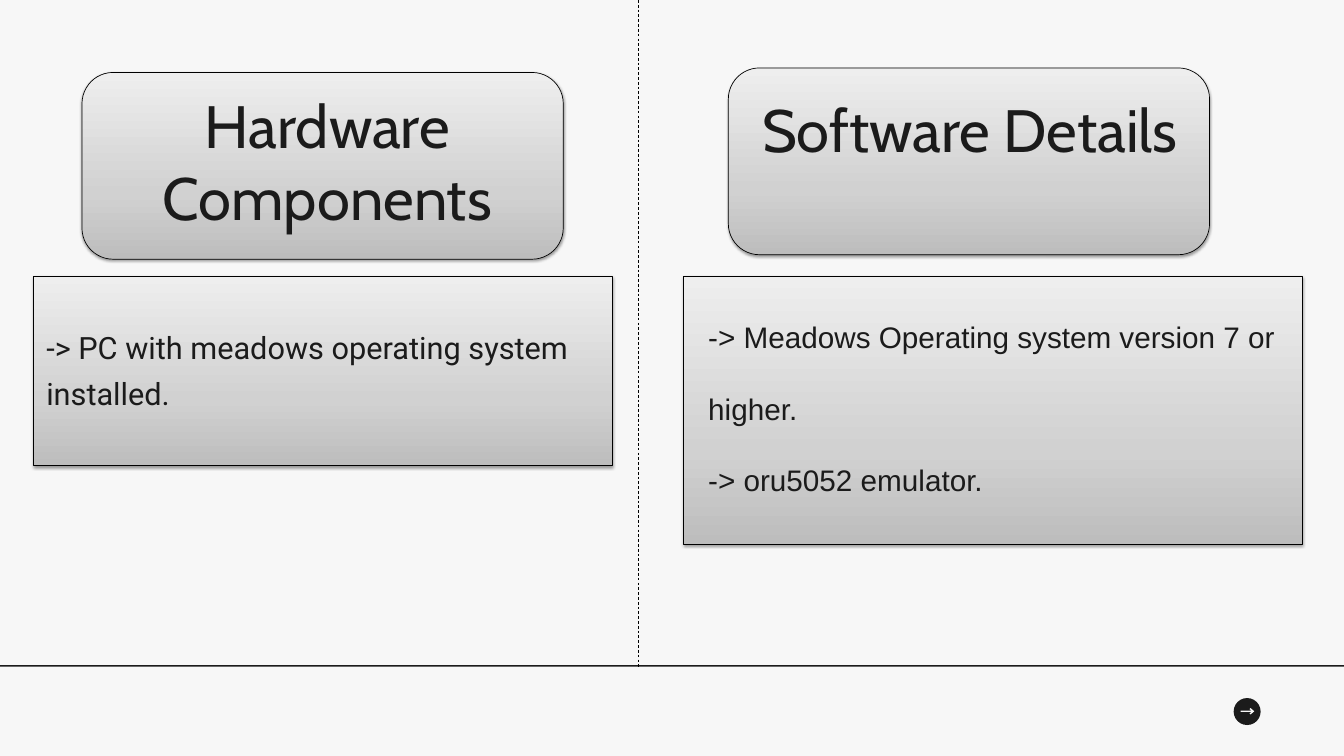
from copy import deepcopy
from dataclasses import dataclass

from lxml import etree
from pptx import Presentation
from pptx.dml.color import RGBColor
from pptx.enum.dml import MSO_LINE_DASH_STYLE as Dash
from pptx.enum.shapes import MSO_CONNECTOR as Connector, MSO_SHAPE as Preset
from pptx.enum.text import MSO_AUTO_SIZE as AutoSize, PP_ALIGN as Align
from pptx.oxml import parse_xml
from pptx.oxml.ns import nsdecls, qn
from pptx.util import Cm, Pt

COLORS = {"paper": "F7F7F7", "ink": "1B1B1B", "outline": "000000"}
CARD_GRADIENT = {0: "BDBDBD", 0.35: "D1D1D1", 1: "EEEEEE"}


@dataclass(frozen=True)
class Box:
    left: float
    top: float
    width: float
    height: float

    def lengths(self) -> list[Cm]:
        return [Cm(v) for v in (self.left, self.top, self.width, self.height)]


@dataclass(frozen=True)
class Card:
    preset: Preset
    box: Box


@dataclass(frozen=True)
class TextBlock:
    box: Box
    lines: tuple[str, ...]
    font: dict
    paragraph: dict


def rgb(name: str) -> RGBColor:
    return RGBColor.from_string(COLORS[name])


def apply_format(target, values: dict) -> None:
    for attribute, value in values.items():
        setattr(target, attribute, value)


def fill_plain(shape, color: str) -> None:
    shape.shadow.inherit = False
    shape.fill.solid()
    shape.fill.fore_color.rgb = rgb(color)
    shape.line.fill.background()


def add_card(shapes, card: Card) -> None:
    """Draw a card with a vertical three-stop gradient and a soft drop shadow."""
    shape = shapes.add_shape(card.preset, *card.box.lengths())
    shape.fill.gradient()
    shape.fill.gradient_angle = 90
    stop_list = shape._element.spPr.find(".//" + qn("a:gsLst"))
    stop_list.append(deepcopy(stop_list[-1]))
    for stop, (position, color) in zip(shape.fill.gradient_stops, CARD_GRADIENT.items()):
        stop.position = position
        stop.color.rgb = RGBColor.from_string(color)
    shape.line.color.rgb = rgb("outline")
    shape.line.width = Pt(0.75)
    shape.shadow.inherit = False
    effects = shape._element.spPr.find(qn("a:effectLst"))
    effects.append(parse_xml(
        f'<a:outerShdw {nsdecls("a")} blurRad="{Pt(3.1)}" dist="{Pt(1.6)}" '
        f'dir="5400000" rotWithShape="0"><a:srgbClr val="{COLORS["outline"]}">'
        '<a:alpha val="38000"/></a:srgbClr></a:outerShdw>'))


def add_text(shapes, block: TextBlock) -> None:
    frame = shapes.add_textbox(*block.box.lengths()).text_frame
    apply_format(frame, {
        "word_wrap": True, "auto_size": AutoSize.SHAPE_TO_FIT_TEXT,
        "margin_left": 0, "margin_top": 0, "margin_right": 0, "margin_bottom": 0,
    })
    for index, line in enumerate(block.lines):
        paragraph = frame.add_paragraph() if index else frame.paragraphs[0]
        apply_format(paragraph, block.paragraph)
        run = paragraph.add_run()
        run.text = line
        apply_format(run.font, block.font)
        run.font.color.rgb = rgb("ink")


def add_next_button(shapes) -> None:
    button = shapes.add_group_shape().shapes
    disc = button.add_shape(Preset.OVAL, *Box(46.63, 26.39, 1.02, 1.02).lengths())
    fill_plain(disc, "ink")

    middle = 26.89
    upper_half = [(46.89, 0.02), (47.31, 0.02), (47.23, 0.08), (47.27, 0.12), (47.4, 0.01)]
    outline = [(x, middle - dy) for x, dy in upper_half]
    outline += [(x, middle + dy) for x, dy in reversed(upper_half)]
    points = [(Cm(x), Cm(y)) for x, y in outline]
    builder = button.build_freeform(*points[0])
    builder.add_line_segments(points[1:], close=True)
    fill_plain(builder.convert_to_shape(), "paper")


def add_divider(shapes) -> None:
    divider = shapes.add_connector(Connector.STRAIGHT, Cm(24.13), Cm(0), Cm(24.13), Cm(25.22))
    apply_format(divider.line, {"width": Pt(0.75), "dash_style": Dash.DASH})
    divider.line.color.rgb = rgb("outline")
    etree.SubElement(divider._element.spPr, qn("a:effectLst"))


HEADING_FONT = {"name": "Cabin", "size": Pt(64)}

CARDS = (
    Card(Preset.ROUNDED_RECTANGLE, Box(27.53, 2.57, 18.19, 7.06)),
    Card(Preset.ROUNDED_RECTANGLE, Box(3.1, 2.74, 18.19, 7.06)),
    Card(Preset.RECTANGLE, Box(25.83, 10.44, 23.39, 10.13)),
    Card(Preset.RECTANGLE, Box(1.27, 10.44, 21.87, 7.16)),
)
HARDWARE = (
    TextBlock(Box(2.31, 3.35, 20.12, 5.46), ("Hardware Components",),
              HEADING_FONT, {"alignment": Align.CENTER}),
    TextBlock(Box(1.75, 12.09, 23.6, 3.33),
              ("-> PC with meadows operating system installed.",),
              {"name": "Roboto", "size": Pt(32.9)}, {"line_spacing": Pt(49.3)}),
)
SOFTWARE = (
    TextBlock(Box(28.35, 3.51, 16.61, 5.26), ("Software Details",),
              HEADING_FONT, {"alignment": Align.CENTER, "line_spacing": Pt(76.8)}),
    TextBlock(Box(26.77, 10.72, 22.81, 7.75),
              ("-> Meadows Operating system version 7 or higher.", "-> oru5052 emulator."),
              {"name": "Arial", "size": Pt(31.8)}, {"line_spacing": 2.0}),
)


def main() -> None:
    deck = Presentation()
    apply_format(deck, {"slide_width": Cm(50.8), "slide_height": Cm(28.58)})
    slide = deck.slides.add_slide(deck.slide_layouts[6])
    slide.background.fill.solid()
    slide.background.fill.fore_color.rgb = rgb("paper")
    shapes = slide.shapes

    for card in CARDS:
        add_card(shapes, card)
    for block in HARDWARE:
        add_text(shapes, block)
    add_next_button(shapes)
    footer_rule = shapes.add_shape(Preset.RECTANGLE, *Box(-0.48, 25.15, 51.77, 0.05).lengths())
    fill_plain(footer_rule, "ink")
    for block in SOFTWARE:
        add_text(shapes, block)
    add_divider(shapes)

    deck.save("out.pptx")


if __name__ == "__main__":
    main()
